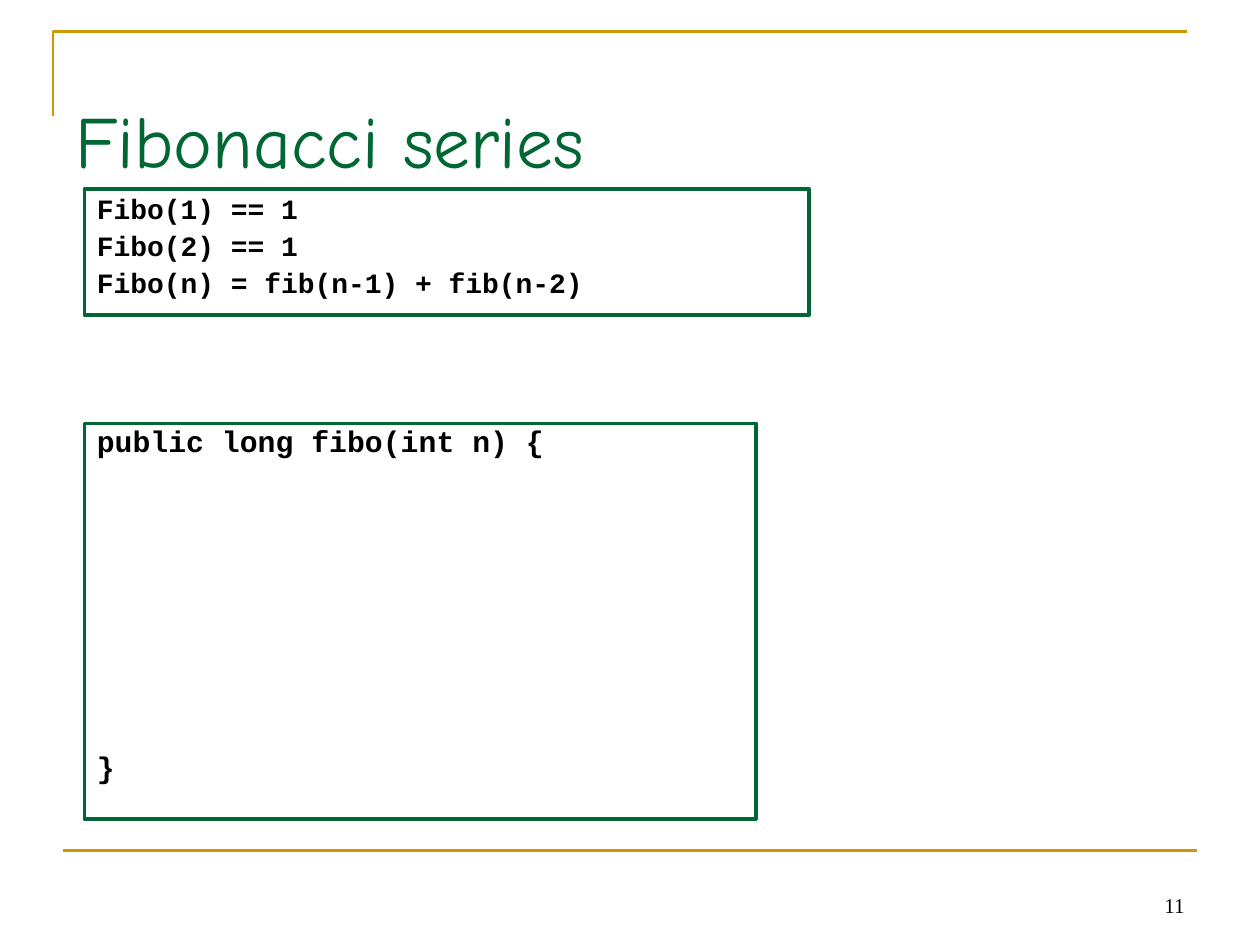
from dataclasses import dataclass

from pptx import Presentation
from pptx.dml.color import RGBColor
from pptx.enum.shapes import MSO_CONNECTOR, MSO_SHAPE
from pptx.enum.text import MSO_ANCHOR, PP_ALIGN
from pptx.oxml.xmlchemy import OxmlElement
from pptx.shapes.base import BaseShape
from pptx.slide import Slide
from pptx.util import Inches, Pt


@dataclass(frozen=True)
class Theme:
    gold: RGBColor = RGBColor(0xCC, 0x99, 0x00)
    green: RGBColor = RGBColor(0x00, 0x66, 0x33)
    black: RGBColor = RGBColor(0, 0, 0)
    head: str = "Comic Neue"
    code: str = "Courier New"
    foot: str = "Times New Roman"
    head_size: float = 42
    rule_size: float = 16
    code_size: float = 17
    foot_size: float = 12
    edge: float = 1.5
    frame: float = 2


@dataclass(frozen=True)
class Box:
    left: float
    top: float
    width: float
    height: float

    def lengths(self) -> tuple:
        return tuple(map(Inches, (self.left, self.top, self.width, self.height)))


@dataclass(frozen=True)
class Style:
    font: str
    size: float
    color: RGBColor
    bold: bool = False
    align: PP_ALIGN = PP_ALIGN.LEFT
    anchor: MSO_ANCHOR = MSO_ANCHOR.BOTTOM
    base: float = 0.05


@dataclass(frozen=True)
class Code:
    box: Box
    lines: tuple[str, ...]
    size: float
    pitch: float
    gaps: tuple[float, ...]
    indent: float


THEME = Theme()
CODES = (
    Code(Box(0.67, 3.36, 5.33, 3.14), ("public long fibo(int n) {", "}"),
         THEME.code_size, 0.8, (4.2, 170), 0.3),
    Code(Box(0.67, 1.5, 5.75, 1),
         ("Fibo(1) == 1", "Fibo(2) == 1", "Fibo(n) = fib(n-1) + fib(n-2)"),
         THEME.rule_size, 0.9, (4, 4, 4), 0.38),
)


def write(shape: BaseShape, text: str, style: Style) -> None:
    frame = shape.text_frame
    frame.word_wrap = True
    frame.vertical_anchor = style.anchor
    frame.margin_bottom = Inches(style.base)
    frame.text = text
    for para in frame.paragraphs:
        para.alignment = style.align
        for run in para.runs:
            font = run.font
            font.name = style.font
            font.size = Pt(style.size)
            font.bold = style.bold
            font.color.rgb = style.color


def add_text(slide: Slide, box: Box, text: str, style: Style) -> None:
    write(slide.shapes.add_textbox(*box.lengths()), text, style)


def add_code(slide: Slide, code: Code) -> None:
    """Draw a framed listing with its own space above each line."""
    shape = slide.shapes.add_shape(MSO_SHAPE.RECTANGLE, *code.box.lengths())
    shape.shadow.inherit = False
    shape.fill.background()
    shape.line.color.rgb = THEME.green
    shape.line.width = Pt(THEME.frame)
    write(shape, "\n".join(code.lines),
          Style(THEME.code, code.size, THEME.black, True, anchor=MSO_ANCHOR.TOP))
    for para, gap in zip(shape.text_frame.paragraphs, code.gaps):
        para.line_spacing = code.pitch
        para.space_before = Pt(gap)
        props = para._p.get_or_add_pPr()
        props.set("marL", str(Inches(code.indent)))
        props.set("indent", str(-Inches(code.indent)))


def add_edges(slide: Slide) -> None:
    """Draw the gold corner at the top and the gold rule at the foot."""
    pen = slide.shapes.build_freeform(Inches(0.42), Inches(0.92))
    pen.add_line_segments(
        [(Inches(0.42), Inches(0.25)), (Inches(9.42), Inches(0.25))], close=False)
    corner = pen.convert_to_shape()
    corner.shadow.inherit = False
    corner.fill.background()
    rule = slide.shapes.add_connector(
        MSO_CONNECTOR.STRAIGHT, Inches(0.5), Inches(6.75), Inches(9.5), Inches(6.75))
    for edge in (corner, rule):
        edge.line.color.rgb = THEME.gold
        edge.line.width = Pt(THEME.edge)
    rule._element.spPr.append(OxmlElement("a:effectLst"))


def main() -> None:
    deck = Presentation()
    deck.slide_width, deck.slide_height = Inches(10), Inches(7.5)
    slide = deck.slides.add_slide(deck.slide_layouts[6])
    add_edges(slide)
    add_text(slide, Box(7.17, 6.83, 2.33, 0.5), "11",
             Style(THEME.foot, THEME.foot_size, THEME.black, align=PP_ALIGN.RIGHT))
    add_text(slide, Box(0.5, 0.3, 9, 1.25), "Fibonacci series",
             Style(THEME.head, THEME.head_size, THEME.green, base=0.1))
    for code in CODES:
        add_code(slide, code)
    deck.save("out.pptx")


if __name__ == "__main__":
    main()
